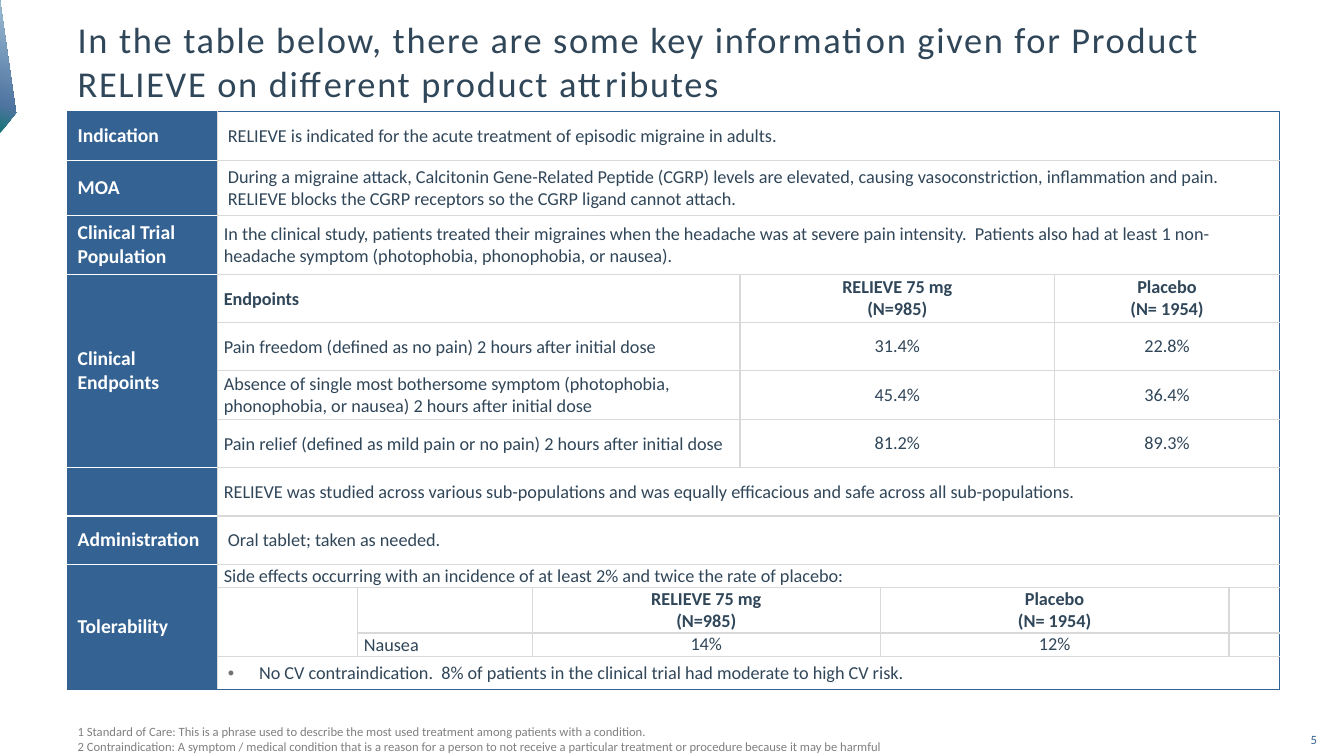
from copy import deepcopy
from lxml import etree
from pptx import Presentation, util as u
from pptx.dml.color import RGBColor
from pptx.enum import shapes, text
from pptx.oxml.ns import qn

PX = 9144
HEX = {"blue": "346393", "ink": "304659", "white": "FFFFFF", "grid": "D9D9D9", "note": "808080",
       "dot": "767171", "teal": "137474", "steel": "4F74A0", "sky": "A0C1D6"}
MID = text.MSO_ANCHOR.MIDDLE
LEFT, CENTER = text.PP_ALIGN.LEFT, text.PP_ALIGN.CENTER
SIDES = ("left", "top", "right", "bottom")


def put(item, vals):
    for key, val in vals.items():
        setattr(item, key, val)


def write(frame, words, size, tone, bold=False, align=LEFT):
    frame.text = words
    for para in frame.paragraphs:
        put(para, {"alignment": align, "space_before": u.Pt(0)})
        for run in para.runs:
            put(run.font, {"name": "Calibri", "size": u.Pt(size), "bold": bold})
            run.font.color.rgb = RGBColor.from_string(HEX[tone])


prs = Presentation()
put(prs, {"slide_width": 1333 * PX, "slide_height": 750 * PX})
slide = prs.slides.add_slide(prs.slide_layouts[1])
title, notes = slide.placeholders
page = slide.shapes.add_textbox(0, 0, PX, PX)

frames = [
    (title, (67, 11, 1200, 99), 10, 5, LEFT, 26, "ink",
     "In the table below, there are some key information given for Product RELIEVE on different product attributes"),
    (notes, (67, 717, 1200, 33), 10, 0, LEFT, 9, "note",
     "1 Standard of Care: This is a phrase used to describe the most used treatment among patients with a condition.\n"
     "2 Contraindication: A symptom / medical condition that is a reason for a person to not receive a particular "
     "treatment or procedure because it may be harmful"),
    (page, (1277, 725, 52, 17), 0, 0, CENTER, 9, "blue", "5"),
]
for box, spot, side, cap, align, size, tone, words in frames:
    put(box, dict(zip(("left", "top", "width", "height"), [n * PX for n in spot])))
    put(box.text_frame, {"word_wrap": True, "auto_size": text.MSO_AUTO_SIZE.NONE, "vertical_anchor": MID,
                         "margin_left": side * PX, "margin_right": side * PX,
                         "margin_top": cap * PX, "margin_bottom": cap * PX})
    write(box.text_frame, words, size, tone, align=align)
title.text_frame.paragraphs[0].runs[0].font._element.set("spc", "120")
for para in notes.text_frame.paragraphs:
    props = para._p.get_or_add_pPr()
    props.set("marL", "0")
    props.set("indent", "0")
    etree.SubElement(props, qn("a:buNone"))

wedge = slide.shapes.add_shape(shapes.MSO_SHAPE.ISOSCELES_TRIANGLE, -58 * PX, 58 * PX, 132 * PX, 16 * PX)
put(wedge, {"rotation": 90})
wedge.adjustments[0] = 0.848
wedge.shadow.inherit = False
wedge.line.fill.background()
wedge.fill.gradient()
wedge.fill.gradient_angle = 160
stops = wedge._element.spPr.find(".//" + qn("a:gsLst"))
stops.insert(1, deepcopy(stops[0]))
for stop, tone, place in zip(wedge.fill.gradient_stops, ("teal", "steel", "sky"), (0, 0.21, 1)):
    stop.color.rgb = RGBColor.from_string(HEX[tone])
    stop.position = place

cols = [149, 139, 173, 206, 139, 173, 173, 50]
rows = [48, 55, 58, 48, 48, 48, 48, 48, 48, 23, 45, 23, 33]
table = slide.shapes.add_table(len(rows), len(cols), 67 * PX, 111 * PX, sum(cols) * PX, sum(rows) * PX).table
put(table, {"first_row": False, "horz_banding": False})
for col, wide in zip(table.columns, cols):
    col.width = wide * PX
for row, high in zip(table.rows, rows):
    row.height = high * PX

STYLES = {
    "head": ((10, 5, 10, 5), 14, "white", True, LEFT),
    "tall": ((10, 0, 0, 0), 14, "white", True, LEFT),
    "body": ((10, 5, 10, 5), 13, "ink", False, LEFT),
    "tight": ((6, 1, 6, 0), 13, "ink", False, LEFT),
    "label": ((6, 1, 6, 0), 13, "ink", True, LEFT),
    "arm": ((0, 0, 0, 0), 13, "ink", True, CENTER),
    "rate": ((0, 0, 0, 0), 13, "ink", False, CENTER),
}
DRUG, SHAM = "RELIEVE 75 mg\n(N=985)", "Placebo\n(N= 1954)"
cells = [
    (0, 0, 1, 1, "head", "Indication"),
    (0, 1, 1, 7, "body", "RELIEVE is indicated for the acute treatment of episodic migraine in adults."),
    (1, 0, 1, 1, "head", "MOA"),
    (1, 1, 1, 7, "body", "During a migraine attack, Calcitonin Gene-Related Peptide (CGRP) levels are elevated, causing "
     "vasoconstriction, inflammation and pain. RELIEVE blocks the CGRP receptors so the CGRP ligand cannot attach."),
    (2, 0, 1, 1, "head", "Clinical Trial Population"),
    (2, 1, 1, 7, "tight", "In the clinical study, patients treated their migraines when the headache was at severe pain "
     "intensity.  Patients also had at least 1 non-headache symptom (photophobia, phonophobia, or nausea)."),
    (3, 0, 4, 1, "head", "Clinical Endpoints"),
    (7, 0, 1, 1, "head", ""),
    (7, 1, 1, 7, "tight", "RELIEVE was studied across various sub-populations and was equally efficacious and safe "
     "across all sub-populations."),
    (8, 0, 1, 1, "head", "Administration"),
    (8, 1, 1, 7, "body", "Oral tablet; taken as needed."),
    (9, 0, 4, 1, "tall", "Tolerability"),
    (9, 1, 1, 7, "tight", "Side effects occurring with an incidence of at least 2% and twice the rate of placebo:"),
    (10, 3, 1, 2, "arm", DRUG),
    (10, 5, 1, 2, "arm", SHAM),
    (11, 2, 1, 1, "tight", "Nausea"),
    (11, 3, 1, 2, "rate", "14%"),
    (11, 5, 1, 2, "rate", "12%"),
    (12, 1, 1, 7, "body", "No CV contraindication.  8% of patients in the clinical trial had moderate to high CV risk."),
]
cells += [(r, c, 1, 1, "rate", "") for r, c in ((10, 1), (10, 2), (10, 7), (11, 1), (11, 7))]
ends = [
    ("Endpoints", DRUG, SHAM),
    ("Pain freedom (defined as no pain) 2 hours after initial dose", "31.4%", "22.8%"),
    ("Absence of single most bothersome symptom (photophobia, phonophobia, or nausea) 2 hours after initial dose",
     "45.4%", "36.4%"),
    ("Pain relief (defined as mild pain or no pain) 2 hours after initial dose", "81.2%", "89.3%"),
]
for r, line in enumerate(ends, 3):
    kinds = ("label", "arm", "arm") if r == 3 else ("tight", "rate", "rate")
    cells += [(r, c, 1, w, kind, words) for c, w, kind, words in zip((1, 4, 6), (3, 2, 2), kinds, line)]

for r, c, h, w, kind, words in cells:
    pads, size, tone, bold, align = STYLES[kind]
    rule = "white" if c == 0 else "grid"
    edges = {"L": "grid" if c else "blue", "R": "blue" if c + w == len(cols) else "grid",
             "T": rule if r else "blue", "B": "blue" if r + h == len(rows) else rule}
    if (r, c) in ((10, 1), (11, 1)):
        edges["B" if r == 10 else "T"] = None
    if h * w > 1:
        table.cell(r, c).merge(table.cell(r + h - 1, c + w - 1))
    for y in range(r, r + h):
        for x in range(c, c + w):
            cell = table.cell(y, x)
            put(cell, {"vertical_anchor": MID})
            put(cell, {"margin_" + side: pad * PX for side, pad in zip(SIDES, pads)})
            for side, hue in edges.items():
                edge = etree.SubElement(cell._tc.get_or_add_tcPr(), qn("a:ln" + side), w="12700")
                fill = etree.SubElement(edge, qn("a:solidFill" if hue else "a:noFill"))
                if hue:
                    etree.SubElement(fill, qn("a:srgbClr"), val=HEX[hue])
            cell.fill.solid()
            cell.fill.fore_color.rgb = RGBColor.from_string(HEX["white" if c else "blue"])
            if (y, x) == (r, c) and words:
                write(cell.text_frame, words, size, tone, bold, align)
            else:
                etree.SubElement(cell.text_frame.paragraphs[0]._p, qn("a:endParaRPr"), sz="1300")

props = table.cell(12, 1).text_frame.paragraphs[0]._p.get_or_add_pPr()
props.set("marL", str(31 * PX))
props.set("indent", str(-31 * PX))
etree.SubElement(etree.SubElement(props, qn("a:buClr")), qn("a:srgbClr"), val=HEX["dot"])
etree.SubElement(props, qn("a:buFont"), typeface="Arial")
etree.SubElement(props, qn("a:buChar"), char="•")

prs.save("out.pptx")
